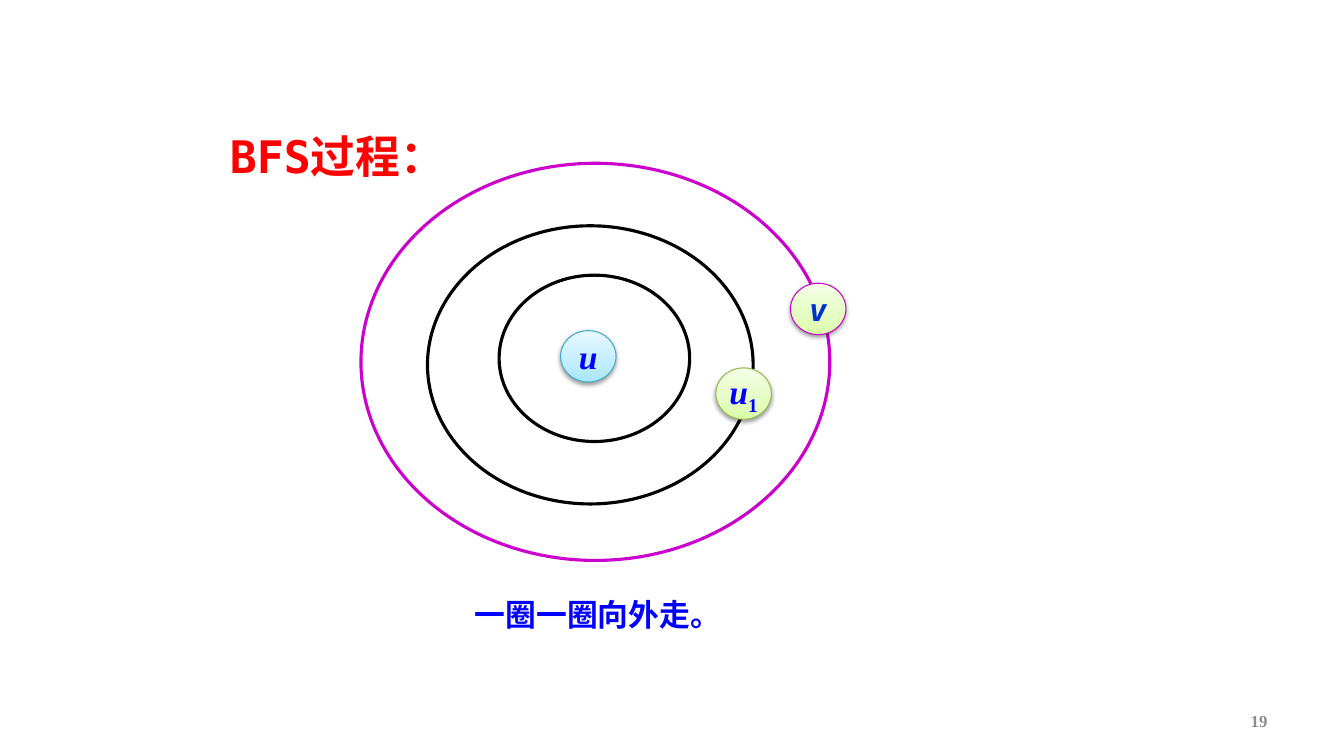
from lxml import etree
from pptx import Presentation
from pptx.dml.color import RGBColor
from pptx.enum.shapes import MSO_SHAPE
from pptx.enum.text import MSO_ANCHOR, MSO_AUTO_SIZE, PP_ALIGN
from pptx.oxml import parse_xml
from pptx.oxml.ns import nsdecls, qn
from pptx.util import Inches, Pt

BLACK, RED = RGBColor(0, 0, 0), RGBColor(0xFF, 0, 0)
BLUE, NAVY = RGBColor(0, 0, 0xFF), RGBColor(0, 0x33, 0xCC)
MAGENTA, GREY = RGBColor(0xCC, 0, 0xCC), RGBColor(0x8C, 0x8C, 0x8C)
CYAN, GREEN = RGBColor(0x46, 0xAA, 0xC5), RGBColor(0x98, 0xB9, 0x55)
CYAN_FADE = ("A7E6FF", "C1EDFF", "E7F8FF")
GREEN_FADE = ("DAFDA7", "E4FCC2", "F5FFE7")
FADE_STOPS = (0, 35, 100)
SERIF, MONO, HAN = "Times New Roman", "DejaVu Sans Mono", "Noto Sans CJK SC"

TITLE = ("BFS过程：", (2.18, 1.23, 2.29, 0.64), 32, MONO, RED, PP_ALIGN.LEFT, MSO_ANCHOR.TOP)
CAPTION = ("一圈一圈向外走。", (4.24, 5.86, 3.38, 0.47), 22, HAN, BLUE, PP_ALIGN.CENTER, MSO_ANCHOR.TOP)
NUMBER = ("19", (9.56, 6.95, 3.11, 0.4), 12, SERIF, GREY, PP_ALIGN.RIGHT, MSO_ANCHOR.MIDDLE)

# Left, top, width, height, line colour
INNER_RING = (4.95, 2.73, 1.89, 1.65, BLACK)
MIDDLE_RING = (4.24, 2.24, 3.23, 2.76, BLACK)
OUTER_RING = (3.58, 1.62, 4.65, 3.94, MAGENTA)

# Left, top, letter, subscript, size, font, text colour, fade, line colour
NODE_SIZE = (0.55, 0.51)
START = (5.56, 3.28, "u", "", 24, SERIF, BLUE, CYAN_FADE, CYAN)
NEAR = (7.1, 3.65, "u", "1", 24, SERIF, BLUE, GREEN_FADE, GREEN)
FAR = (7.84, 2.81, "v", "", 22, MONO, NAVY, GREEN_FADE, MAGENTA)


def style(font, size, name, color):
    font.size, font.name, font.bold = Pt(size), name, True
    font.color.rgb = color


def write(box, text, place, size, name, color, align, anchor):
    box.left, box.top, box.width, box.height = map(Inches, place)
    frame = box.text_frame
    frame.text = text
    frame.word_wrap = True
    frame.auto_size = MSO_AUTO_SIZE.NONE
    frame.vertical_anchor = anchor
    para = frame.paragraphs[0]
    para.alignment = align
    para.space_before = Pt(0)
    span = para.runs[0]
    style(span.font, size, name, color)
    east_asian = etree.SubElement(span.font._element, qn("a:ea"))
    east_asian.set("typeface", HAN)


def add_ellipse(page, place, color, weight):
    ellipse = page.shapes.add_shape(MSO_SHAPE.OVAL, *map(Inches, place))
    ellipse.shadow.inherit = False
    ellipse.line.color.rgb = color
    ellipse.line.width = Pt(weight)
    return ellipse


def add_ring(page, left, top, width, height, color):
    ring = add_ellipse(page, (left, top, width, height), color, 2.25)
    ring.fill.background()


def add_fade(shape, colors):
    """Fill from bottom to top through three colours."""
    shape.fill.gradient()
    shape.fill.gradient_angle = 90
    stops = "".join(
        f'<a:gs pos="{pos * 1000}"><a:srgbClr val="{color}"/></a:gs>'
        for pos, color in zip(FADE_STOPS, colors))
    fade = shape._element.spPr.find(qn("a:gradFill"))
    fade.replace(fade.find(qn("a:gsLst")),
                 parse_xml(f'<a:gsLst {nsdecls("a")}>{stops}</a:gsLst>'))


def add_shadow(shape):
    shape._element.spPr.find(qn("a:effectLst")).append(parse_xml(
        f'<a:outerShdw {nsdecls("a")} blurRad="40000" dist="20000" dir="5400000" rotWithShape="0">'
        '<a:srgbClr val="000000"><a:alpha val="38000"/></a:srgbClr></a:outerShdw>'))


def add_node(page, left, top, letter, subscript, size, name, color, fade, outline):
    node = add_ellipse(page, (left, top, *NODE_SIZE), outline, 0.75)
    add_fade(node, fade)
    add_shadow(node)
    frame = node.text_frame
    frame.word_wrap = False
    frame.vertical_anchor = MSO_ANCHOR.MIDDLE
    para = frame.paragraphs[0]
    para.alignment = PP_ALIGN.CENTER
    span = para.add_run()
    span.text = letter
    style(span.font, size, name, color)
    span.font.italic = True
    if subscript:
        index = para.add_run()
        index.text = subscript
        style(index.font, size, name, color)
        index.font._element.set("baseline", "-25000")


def main():
    deck = Presentation()
    deck.slide_width, deck.slide_height = Inches(13.33), Inches(7.5)
    page = deck.slides.add_slide(deck.slide_layouts[5])
    add_node(page, *START)
    write(page.shapes.add_textbox(0, 0, 0, 0), *CAPTION)
    write(page.shapes.title, *TITLE)
    add_ring(page, *INNER_RING)
    for ring, node in ((MIDDLE_RING, NEAR), (OUTER_RING, FAR)):
        add_ring(page, *ring)
        add_node(page, *node)
    write(page.shapes.add_textbox(0, 0, 0, 0), *NUMBER)
    deck.save("out.pptx")


if __name__ == "__main__":
    main()
